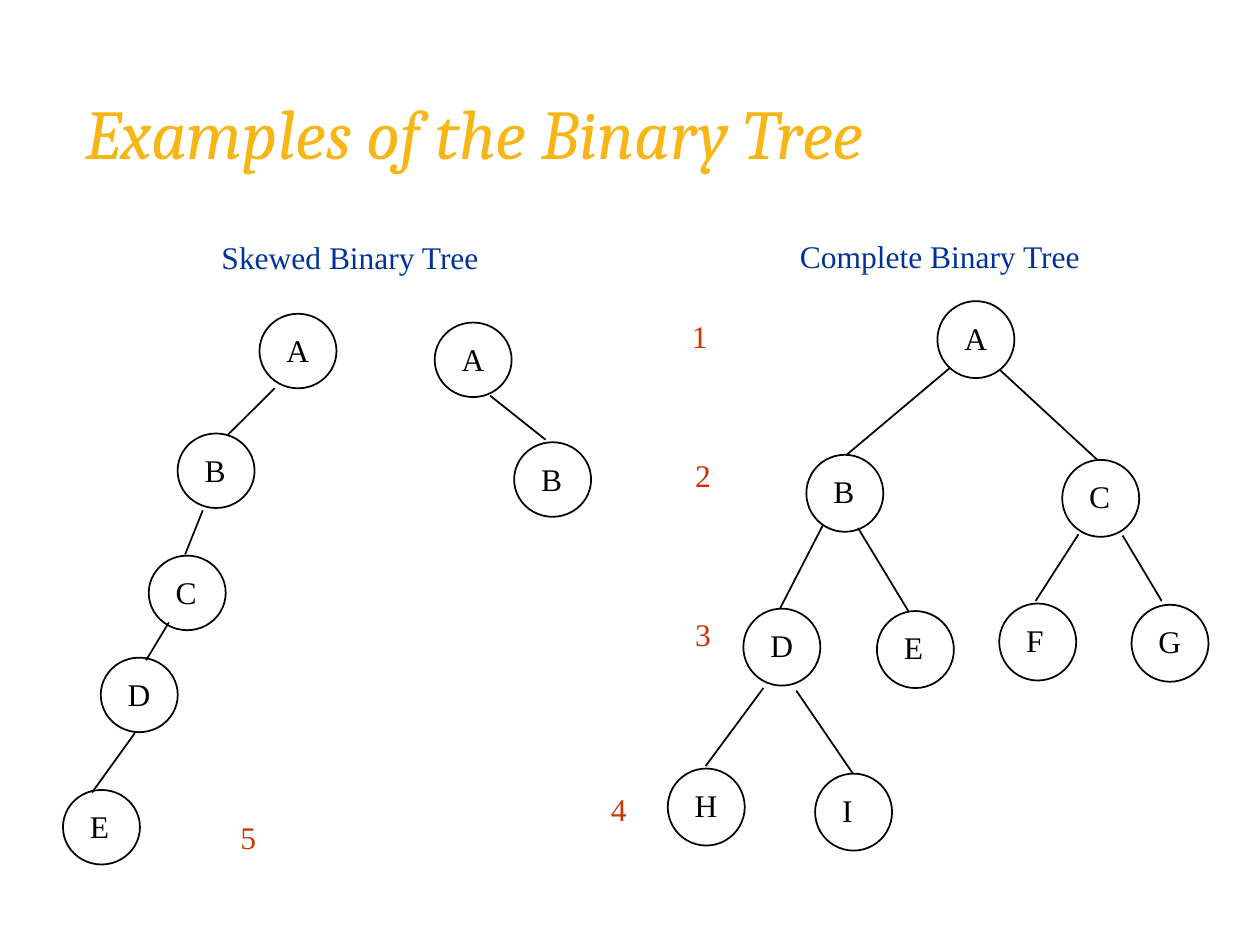
"""Build a slide with skewed and complete binary trees."""
from lxml.etree import SubElement
from pptx import Presentation
from pptx.dml.color import RGBColor
from pptx.enum.shapes import MSO_CONNECTOR, MSO_SHAPE
from pptx.enum.text import MSO_ANCHOR, PP_ALIGN
from pptx.oxml.ns import qn
from pptx.util import Pt

BLACK = RGBColor(0x00, 0x00, 0x00)
GOLD = RGBColor(0xF7, 0xB6, 0x15)
BLUE = RGBColor(0x00, 0x33, 0x99)
RED = RGBColor(0xCC, 0x33, 0x00)

WIDTHS = dict(A=31.7, B=30.2, C=30.2, D=31.7, E=28.8, F=28.1, G=31.7, H=31.7, I=22.3)

FULL_NODES = [
    ("A", 535.7, 172.1), ("B", 460.8, 259.9), ("C", 607, 262.8),
    ("D", 424.8, 347.8), ("E", 501.1, 349.2), ("F", 571, 344.9),
    ("G", 646.6, 345.6), ("H", 381.6, 439.2), ("I", 465.8, 442.1),
]
SKEWED_NODES = [
    ("A", 148.3, 179.3), ("B", 101.5, 247.7), ("C", 85, 317.5),
    ("D", 57.6, 375.8), ("E", 36, 451.4),
    ("A", 248.4, 184.3), ("B", 293.8, 252.7),
]
EDGES = [
    (542.9, 210.2, 483.8, 259.9), (571.7, 211.7, 627.1, 262.8),
    (470.2, 300.2, 445.7, 347.8), (490.3, 301.7, 519.1, 349.2),
    (616.3, 305.3, 591.8, 343.4), (641.5, 306, 663.8, 343.4),
    (436.3, 393.1, 403.2, 437.8), (455, 394.6, 487.4, 442.1),
    (157, 221.8, 130.3, 248.4), (115.9, 291.6, 105.8, 316.8),
    (96.5, 355.7, 83.5, 377.3), (77, 419, 52.6, 452.9),
    (280.1, 226.1, 311.8, 251.3),
]
LEVELS = [
    ("1", 386.6, 177.8, PP_ALIGN.CENTER), ("2", 390.2, 257, PP_ALIGN.LEFT),
    ("3", 390.2, 347.8, PP_ALIGN.LEFT), ("4", 342, 447.8, PP_ALIGN.LEFT),
    ("5", 130.3, 463.7, PP_ALIGN.LEFT),
]


def write(slide, text, x, y, width, height=36, *, size=18, face="Times New Roman",
          color=BLACK, italic=False, align=PP_ALIGN.LEFT, anchor=MSO_ANCHOR.TOP):
    box = slide.shapes.add_textbox(Pt(x), Pt(y), Pt(width), Pt(height))
    frame = box.text_frame
    frame.word_wrap = True
    frame.vertical_anchor = anchor
    para = frame.paragraphs[0]
    para.alignment = align
    run = para.add_run()
    run.text = text
    font = run.font
    font.size, font.name, font.italic = Pt(size), face, italic
    font.color.rgb = color


def add_node(slide, letter, x, y, height):
    oval = slide.shapes.add_shape(MSO_SHAPE.OVAL, Pt(x), Pt(y), Pt(44), Pt(height))
    oval.shadow.inherit = False
    oval.fill.background()
    oval.line.color.rgb = BLACK
    oval.line.width = Pt(1)
    write(slide, letter, x + 8.3, y + 6.4, WIDTHS[letter])


def add_edge(slide, *ends):
    edge = slide.shapes.add_connector(MSO_CONNECTOR.STRAIGHT, *map(Pt, ends))
    edge.line.color.rgb = BLACK
    edge.line.width = Pt(1)
    SubElement(edge._element.spPr, qn("a:effectLst"))


def main():
    deck = Presentation()
    deck.slide_width, deck.slide_height = Pt(720), Pt(540)
    slide = deck.slides.add_slide(deck.slide_layouts[6])
    write(slide, "Examples of the Binary Tree", 41.8, 30.2, 600, 90, size=40,
          face="Cambria", color=GOLD, italic=True, anchor=MSO_ANCHOR.MIDDLE)
    write(slide, "Skewed Binary Tree", 119.5, 132.5, 211.7, color=BLUE)
    write(slide, "Complete Binary Tree", 450, 131.8, 229, color=BLUE)
    for nodes, height in ((FULL_NODES, 44), (SKEWED_NODES, 42.6)):
        for letter, x, y in nodes:
            add_node(slide, letter, x, y, height)
    for ends in EDGES:
        add_edge(slide, *ends)
    for level, x, y, align in LEVELS:
        write(slide, level, x, y, 26.6, color=RED, align=align)
    deck.save("out.pptx")


if __name__ == "__main__":
    main()
